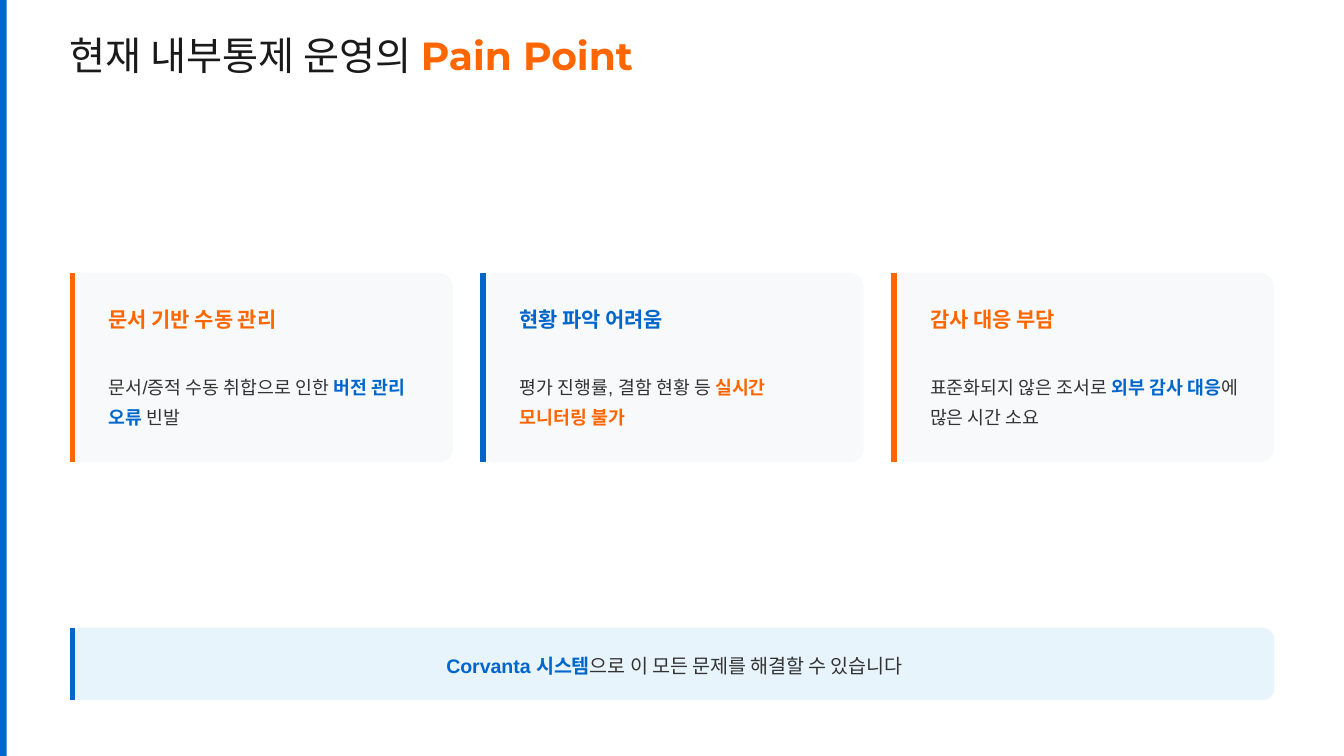
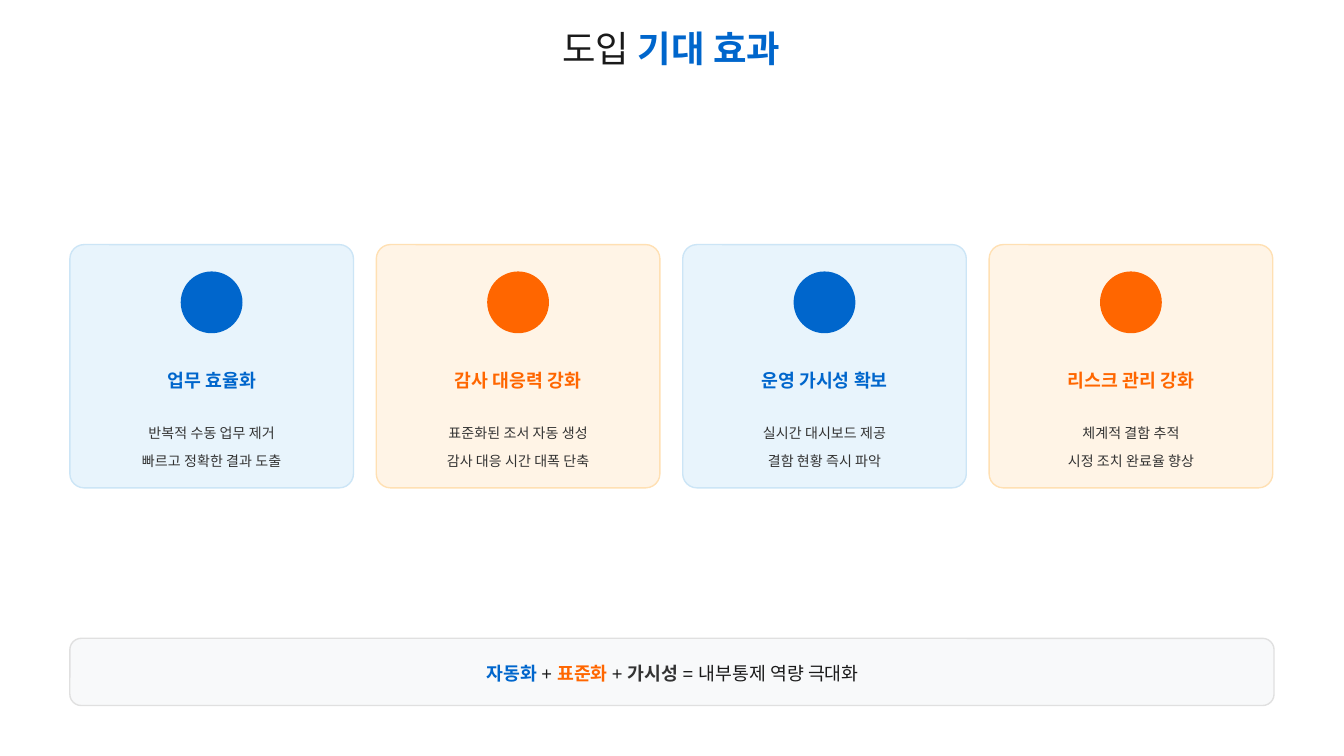
from lxml import etree
from pptx import Presentation
from pptx.dml.color import RGBColor
from pptx.enum.shapes import MSO_CONNECTOR, MSO_SHAPE
from pptx.enum.text import PP_ALIGN
from pptx.oxml.ns import qn
from pptx.util import Pt

PX = 4572  # EMU per px, 200 px to the inch
RECTANGLE, ROUNDED, OVAL = MSO_SHAPE.RECTANGLE, MSO_SHAPE.ROUNDED_RECTANGLE, MSO_SHAPE.OVAL
LEFT, CENTER = PP_ALIGN.LEFT, PP_ALIGN.CENTER
STRAIGHT = MSO_CONNECTOR.STRAIGHT
HEADING_FONT, BODY_FONT = "Montserrat", "Arial"
COLORS = {
    "blue": "0066CC", "orange": "FF6600", "ink": "1A1A1A", "gray": "333333",
    "pale_gray": "F8F9FA", "gray_edge": "E0E0E0",
    "pale_blue": "E8F4FC", "blue_edge": "CCE5F6",
    "pale_orange": "FFF4E6", "orange_edge": "FFE0B3",
}
COLORS = {name: RGBColor.from_string(value) for name, value in COLORS.items()}
MARGIN, CONTENT_WIDTH = 104, 1792


def add_box(slide, kind, left, top, width, height, fill, edge=None, radius=None):
    shape = slide.shapes.add_shape(kind, left * PX, top * PX, width * PX, height * PX)
    shape.shadow.inherit = False
    shape.fill.solid()
    shape.fill.fore_color.rgb = COLORS[fill]
    if edge:
        shape.line.color.rgb = COLORS[edge]
        shape.line.width = Pt(0.75)
    else:
        shape.line.fill.background()
    if radius:
        shape.adjustments[0] = radius / min(width, height)


def add_text(slide, left, top, width, height, paragraphs, font, size, spacing,
             align=LEFT, before=0, after=0):
    """Each paragraph is a list of (text, colour name, bold) runs."""
    box = slide.shapes.add_textbox(left * PX, top * PX, width * PX, height * PX)
    frame = box.text_frame
    frame.word_wrap = True
    frame.margin_left = frame.margin_right = frame.margin_top = frame.margin_bottom = 0
    for index, runs in enumerate(paragraphs):
        paragraph = frame.add_paragraph() if index else frame.paragraphs[0]
        paragraph.alignment = align
        paragraph.line_spacing = Pt(spacing)
        paragraph.space_before = Pt(before)
        paragraph.space_after = Pt(after)
        paragraph.font.name = font
        paragraph.font.size = Pt(size)
        for text, color, bold in runs:
            run = paragraph.add_run()
            run.text = text
            run.font.bold = bold
            run.font.color.rgb = COLORS[color]


presentation = Presentation()
presentation.slide_width = 2000 * PX
presentation.slide_height = 1125 * PX
blank = presentation.slide_layouts[6]

# Slide 1: pain points
slide = presentation.slides.add_slide(blank)
add_box(slide, RECTANGLE, 0, 0, 10, 1125, "blue")
add_text(slide, MARGIN, 58, 926, 58,
         [[("현재 내부통제 운영의 ", "ink", False), ("Pain Point", "orange", True)]],
         HEADING_FONT, 21, 21)

pain_points = [
    ("문서 기반 수동 관리", "orange",
     [("문서/증적 수동 취합으로 인한 ", "gray", False), ("버전 관리 오류", "blue", True),
      (" 빈발", "gray", False)]),
    ("현황 파악 어려움", "blue",
     [("평가 진행률, 결함 현황 등 ", "gray", False), ("실시간 모니터링 불가", "orange", True)]),
    ("감사 대응 부담", "orange",
     [("표준화되지 않은 조서로 ", "gray", False), ("외부 감사 대응", "blue", True),
      ("에 많은 시간 소요", "gray", False)]),
]
accent_bars = [(MARGIN, 934, 108, "blue", 2.25)]
for index, (heading, color, description) in enumerate(pain_points):
    left = MARGIN + index * 611
    add_box(slide, ROUNDED, left, 406, 570, 282, "pale_gray", radius=21)
    accent_bars.append((left, 406, 282, color, 3))
    add_text(slide, left + 58, 456, 470, 38, [[(heading, color, True)]],
             HEADING_FONT, 11.2, 13.5, after=9)
    add_text(slide, left + 58, 550, 470, 86, [description], BODY_FONT, 9.8, 15.6)

add_box(slide, ROUNDED, MARGIN, 934, CONTENT_WIDTH, 108, "pale_blue", radius=17)
add_text(slide, 144, 968, 1720, 40,
         [[("Corvanta 시스템", "blue", True),
           ("으로 이 모든 문제를 해결할 수 있습니다", "gray", False)]],
         BODY_FONT, 10.5, 14.7, CENTER)

for left, top, height, color, weight in accent_bars:
    x = (left + 4) * PX
    bar = slide.shapes.add_connector(STRAIGHT, x, top * PX, x, (top + height) * PX)
    bar.line.color.rgb = COLORS[color]
    bar.line.width = Pt(weight)
    etree.SubElement(bar._element.spPr, qn("a:effectLst"))

# Slide 2: expected benefits
slide = presentation.slides.add_slide(blank)
add_text(slide, 520, 50, 958, 54,
         [[("도입 ", "ink", False), ("기대 효과", "blue", True)]],
         HEADING_FONT, 19.5, 19.5, CENTER)

benefits = [
    ("업무 효율화", "반복적 수동 업무 제거", "빠르고 정확한 결과 도출"),
    ("감사 대응력 강화", "표준화된 조서 자동 생성", "감사 대응 시간 대폭 단축"),
    ("운영 가시성 확보", "실시간 대시보드 제공", "결함 현황 즉시 파악"),
    ("리스크 관리 강화", "체계적 결함 추적", "시정 조치 완료율 향상"),
]
for index, (heading, *details) in enumerate(benefits):
    left = MARGIN + index * 456
    center = left + 211
    color = ("blue", "orange")[index % 2]
    add_box(slide, ROUNDED, left, 364, 422, 362, f"pale_{color}", f"{color}_edge", radius=21)
    add_box(slide, OVAL, center - 46, 404, 92, 92, color)
    add_text(slide, center - 104, 550, 208, 32, [[(heading, color, True)]],
             HEADING_FONT, 9.8, 11.7, CENTER)
    add_text(slide, center - 116, 628, 232, 58, [[(detail, "gray", False)] for detail in details],
             BODY_FONT, 7.5, 10.5, CENTER, before=4.5)

add_box(slide, ROUNDED, MARGIN, 950, CONTENT_WIDTH, 100, "pale_gray", "gray_edge", radius=17)
add_text(slide, 140, 980, 1722, 38,
         [[("자동화", "blue", True), (" + ", "ink", False), ("표준화", "orange", True),
           (" + ", "ink", False), ("가시성", "gray", True),
           (" = 내부통제 역량 극대화", "ink", False)]],
         BODY_FONT, 9.8, 13.7, CENTER)

presentation.save("out.pptx")
